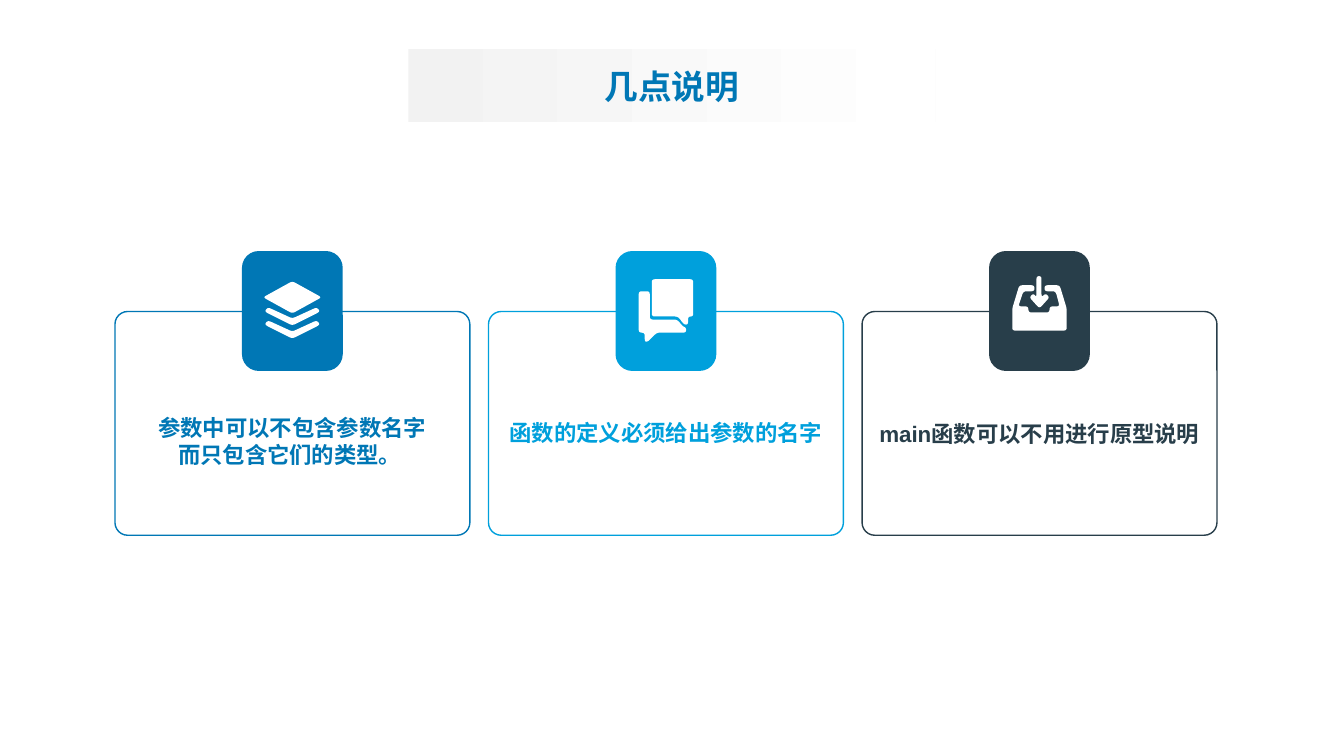
import pptx
import pptx.util
import pptx.dml.color
import pptx.enum.shapes
import pptx.enum.text
import pptx.oxml
import pptx.oxml.ns
from pptx.util import Inches

CJK_FONT = "Noto Sans CJK SC"
WHITE = "FFFFFF"
TITLE = "几点说明"
DIAMOND = [(-0.02, 0.15), (0.27, -0.01), (0.56, 0.15), (0.27, 0.31)]
CHEVRON = [(0, 0.28), (0.03, 0.25), (0.27, 0.36), (0.51, 0.25),
           (0.54, 0.28), (0.53, 0.3), (0.27, 0.43), (0.01, 0.3)]
LAYERS = [DIAMOND, CHEVRON, [(x, y + 0.13) for x, y in CHEVRON]]
CHAT = [
    [(0.13, 0), (0.54, 0), (0.54, 0.37), (0.49, 0.37), (0.49, 0.45),
     (0.45, 0.45), (0.39, 0.37), (0.13, 0.37)],
    [(0, 0.12), (0.11, 0.12), (0.11, 0.4), (0.38, 0.4), (0.44, 0.47),
     (0.47, 0.48), (0.47, 0.53), (0.18, 0.53), (0.09, 0.62), (0.06, 0.62),
     (0.06, 0.53), (0, 0.53)],
]
INBOX = [
    [(0, 0.54), (0, 0.32), (0.07, 0.09), (0.22, 0.09), (0.22, 0.15),
     (0.11, 0.15), (0.06, 0.3), (0.16, 0.3), (0.16, 0.36), (0.37, 0.36),
     (0.37, 0.3), (0.47, 0.3), (0.43, 0.15), (0.32, 0.15), (0.32, 0.09),
     (0.47, 0.09), (0.54, 0.32), (0.54, 0.54)],
    [(0.24, 0), (0.29, 0), (0.29, 0.21), (0.33, 0.17), (0.37, 0.21),
     (0.27, 0.32), (0.17, 0.21), (0.21, 0.17), (0.24, 0.21)],
]
CARDS = [
    ("0077B5", ["参数中可以不包含参数名字", "而只包含它们的类型。 "],
     LAYERS, 2.8, 4.11, 0.62),
    ("00A0DC", ["函数的定义必须给出参数的名字"], CHAT, 2.77, 4.16, 1.19),
    ("283E4A", ["main函数可以不用进行原型说明"], INBOX, 2.74, 4.17, 0.36),
]
CARD_LEFT, CARD_TOP, CARD_WIDTH, CARD_HEIGHT = 1.14, 3.09, 3.52, 2.22
CARD_PITCH = 3.705
TILE_TOP, TILE_WIDTH, TILE_HEIGHT = 2.49, 1, 1.19
ICON_OFFSET, TEXT_WIDTH, CORNER = 1.49, 3.2, 0.03


def color(value):
    return pptx.dml.color.RGBColor.from_string(value)


def paint(shape, value):
    shape.shadow.inherit = False
    shape.fill.solid()
    shape.fill.fore_color.rgb = color(value)
    shape.line.fill.background()


def rounded_box(page, left, top, width, height):
    return page.shapes.add_shape(
        pptx.enum.shapes.MSO_SHAPE.ROUNDED_RECTANGLE,
        Inches(left), Inches(top), Inches(width), Inches(height))


def write(para, text, size, font, value):
    para.alignment = pptx.enum.text.PP_ALIGN.CENTER
    span = para.add_run()
    span.text = text
    span.font.size = pptx.util.Pt(size)
    span.font.bold = True
    span.font.name = font
    span.font.color.rgb = color(value)
    east_asian = pptx.oxml.parse_xml(
        f'<a:ea {pptx.oxml.ns.nsdecls("a")} typeface="{CJK_FONT}"/>')
    span.font._element.append(east_asian)


def toward(start, end):
    dx, dy = end[0] - start[0], end[1] - start[1]
    length = (dx * dx + dy * dy) ** 0.5
    share = min(CORNER / length, 0.5)
    return start[0] + dx * share, start[1] + dy * share


def round_corners(corners):
    points = []
    for index, corner in enumerate(corners):
        before = toward(corner, corners[index - 1])
        after = toward(corner, corners[(index + 1) % len(corners)])
        for step in range(5):
            t = step / 4
            points.append(tuple(
                (1 - t) ** 2 * a + 2 * t * (1 - t) * b + t * t * c
                for a, b, c in zip(before, corner, after)))
    return points


def add_icon(page, contours, left, top):
    outlines = [[(Inches(left + x), Inches(top + y)) for x, y in round_corners(contour)]
                for contour in contours]
    builder = page.shapes.build_freeform(*outlines[0][0])
    for index, outline in enumerate(outlines):
        if index:
            builder.move_to(*outline[0])
        builder.add_line_segments(outline[1:], close=True)
    paint(builder.convert_to_shape(), WHITE)


def add_title(page):
    title = page.shapes.title
    title.left, title.top = Inches(4.05), Inches(0.49)
    title.width, title.height = Inches(5.23), Inches(0.72)
    title._element.spPr.append(pptx.oxml.parse_xml(
        f'<a:prstGeom {pptx.oxml.ns.nsdecls("a")} prst="roundRect"><a:avLst>'
        '<a:gd name="adj" fmla="val 42300"/></a:avLst></a:prstGeom>'))
    title.fill.gradient()
    title.fill.gradient_angle = 0
    stops = title.fill.gradient_stops
    for stop, place, value in zip(stops, (0, 0.99), ("F2F2F2", WHITE)):
        stop.position = place
        stop.color.rgb = color(value)
    frame = title.text_frame
    frame.auto_size = pptx.enum.text.MSO_AUTO_SIZE.NONE
    frame.vertical_anchor = pptx.enum.text.MSO_ANCHOR.MIDDLE
    write(frame.paragraphs[0], TITLE, 24, CJK_FONT, "0077B5")


def add_card(page, left, value, lines, icon, icon_top, text_top, text_height):
    card = rounded_box(page, left, CARD_TOP, CARD_WIDTH, CARD_HEIGHT)
    card.adjustments[0] = 0.057
    card.shadow.inherit = False
    card.fill.background()
    card.line.color.rgb = color(value)
    card.line.width = pptx.util.Pt(1)

    tile_left = left + (CARD_WIDTH - TILE_WIDTH) / 2
    paint(rounded_box(page, tile_left, TILE_TOP, TILE_WIDTH, TILE_HEIGHT), value)
    add_icon(page, icon, left + ICON_OFFSET, icon_top)

    text_left = left + (CARD_WIDTH - TEXT_WIDTH) / 2
    box = page.shapes.add_textbox(
        Inches(text_left), Inches(text_top), Inches(TEXT_WIDTH), Inches(text_height))
    frame = box.text_frame
    frame.word_wrap = False
    frame.margin_left = frame.margin_right = frame.margin_top = frame.margin_bottom = 0
    for index, line in enumerate(lines):
        para = frame.add_paragraph() if index else frame.paragraphs[0]
        write(para, line, 16, "Arial", value)


def main():
    deck = pptx.Presentation()
    deck.slide_width, deck.slide_height = Inches(13.33), Inches(7.5)
    page = deck.slides.add_slide(deck.slide_layouts.get_by_name("Title Only"))
    add_title(page)
    for index, card in enumerate(CARDS):
        add_card(page, CARD_LEFT + index * CARD_PITCH, *card)
    deck.save("out.pptx")


if __name__ == "__main__":
    main()
